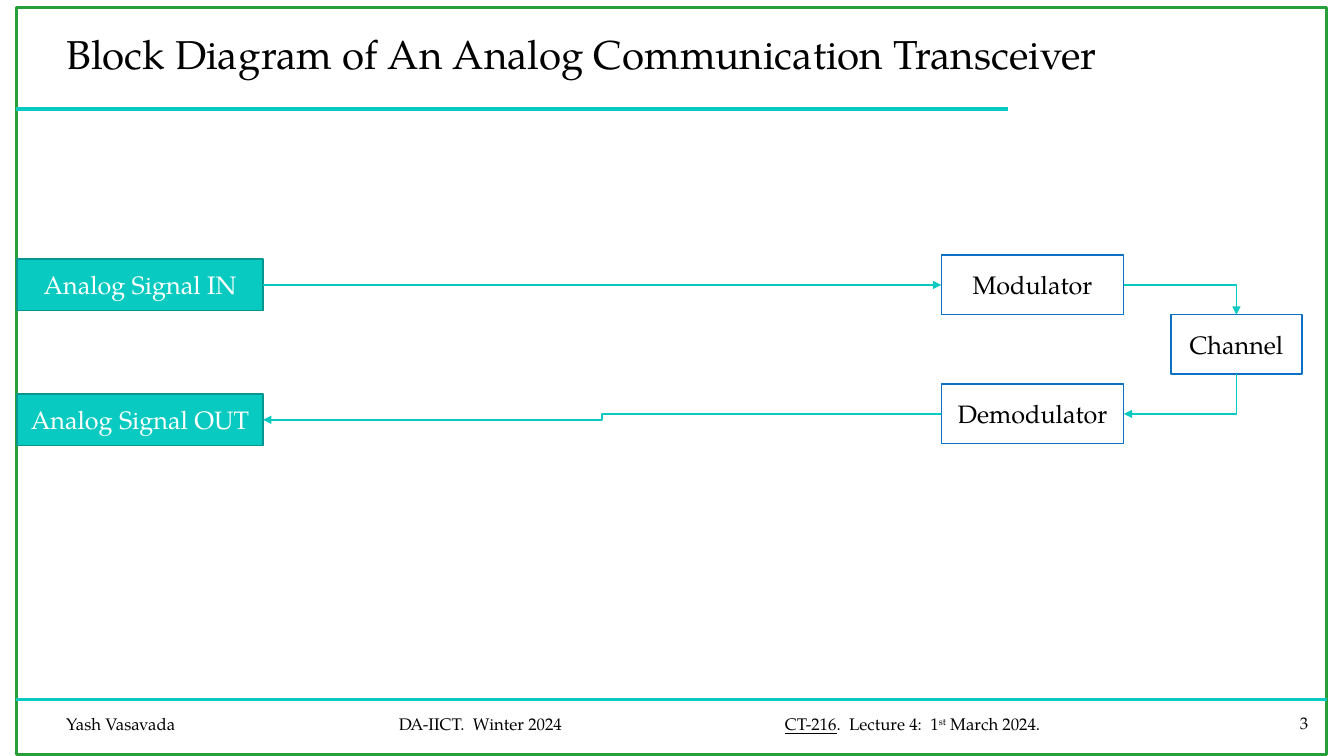
from dataclasses import dataclass

from lxml import etree
from pptx import Presentation
from pptx.dml.color import RGBColor
from pptx.enum.shapes import MSO_CONNECTOR, MSO_SHAPE
from pptx.enum.text import MSO_ANCHOR, MSO_AUTO_SIZE, PP_ALIGN
from pptx.oxml.ns import qn
from pptx.util import Cm, Pt

RECTANGLE = MSO_SHAPE.RECTANGLE
STRAIGHT, ELBOW = MSO_CONNECTOR.STRAIGHT, MSO_CONNECTOR.ELBOW
TOP, MIDDLE = MSO_ANCHOR.TOP, MSO_ANCHOR.MIDDLE
LEFT, CENTER, RIGHT = PP_ALIGN.LEFT, PP_ALIGN.CENTER, PP_ALIGN.RIGHT
LEFT_SITE, BOTTOM_SITE, RIGHT_SITE, TOP_SITE = 1, 2, 3, 0
QUARTER_TURN = "5400000"


@dataclass(frozen=True)
class Theme:
    font: str = "TeX Gyre Pagella"
    black: RGBColor = RGBColor(0, 0, 0)
    white: RGBColor = RGBColor(255, 255, 255)
    teal: RGBColor = RGBColor(0x08, 0xCA, 0xC1)
    dark_teal: RGBColor = RGBColor(0x06, 0x95, 0x8F)
    green: RGBColor = RGBColor(0x25, 0x9F, 0x39)
    blue: RGBColor = RGBColor(0x0E, 0x70, 0xC2)
    title_size: float = 28.8
    block_size: float = 18
    footer_size: float = 12


@dataclass(frozen=True)
class Box:
    left: float
    top: float
    width: float
    height: float

    def inner(self, left, top, width, height):
        return Box(self.left + left, self.top + top, width, height)

    def lengths(self):
        return [Cm(v) for v in (self.left, self.top, self.width, self.height)]


THEME = Theme()


def format_text(shape, size, color, align, anchor):
    frame = shape.text_frame
    frame.word_wrap = True
    frame.vertical_anchor = anchor
    for para in frame.paragraphs:
        para.alignment = align
        for span in para.runs:
            span.font.name = THEME.font
            span.font.size = Pt(size)
            span.font.color.rgb = color


def style_line(connector, color, width):
    connector.line.color.rgb = color
    connector.line.width = Pt(width)
    etree.SubElement(connector._element.spPr, qn("a:effectLst"))


def add_rule(page, left, top, width, weight):
    rule = page.shapes.add_connector(
        STRAIGHT, Cm(left), Cm(top), Cm(left + width), Cm(top))
    style_line(rule, THEME.teal, weight)


def add_frame(page, box):
    frame = page.shapes.add_shape(RECTANGLE, *box.lengths())
    frame.shadow.inherit = False
    frame.fill.background()
    frame.line.color.rgb = THEME.green
    frame.line.width = Pt(2.25)


def add_title(page, box):
    add_rule(page, box.left, box.top + 2.54, 24.99, 3)
    title = page.shapes.title
    title.left, title.top, title.width, title.height = box.inner(1.01, 0.54, 28.02, 2.03).lengths()
    title.text_frame.text = "Block Diagram of An Analog Communication Transceiver"
    title.text_frame.auto_size = MSO_AUTO_SIZE.NONE
    title.text_frame.paragraphs[0].line_spacing = 0.9
    format_text(title, THEME.title_size, THEME.black, LEFT, TOP)


def add_footer(page, box):
    add_rule(page, box.left, box.top, box.width, 2)
    credits = page.shapes.add_textbox(*box.inner(1.01, 0.23, 27, 0.76).lengths())
    para = credits.text_frame.paragraphs[0]
    stops = etree.SubElement(para._p.get_or_add_pPr(), qn("a:tabLst"))
    for position in (8.38, 18.11):
        etree.SubElement(stops, qn("a:tab"), pos=str(Cm(position)), algn="l")
    texts = ("Yash Vasavada\tDA-IICT.  Winter 2024\t", "CT-216",
             ".  Lecture 4:  1", "st", " March 2024.")
    for text in texts:
        para.add_run().text = text
    format_text(credits, THEME.footer_size, THEME.black, LEFT, TOP)
    para.runs[1].font.underline = True
    para.runs[3].font._element.set("baseline", "30000")

    number = page.shapes.add_textbox(*box.inner(30.07, 0.2, 2.74, 0.76).lengths())
    number.text_frame.text = "3"
    format_text(number, THEME.footer_size, THEME.black, RIGHT, MIDDLE)


def add_block(page, box, text, fill, outline, color):
    block = page.shapes.add_shape(RECTANGLE, *box.lengths())
    block.shadow.inherit = False
    block.fill.solid()
    block.fill.fore_color.rgb = fill
    block.line.color.rgb = outline
    block.line.width = Pt(1)
    block.text_frame.text = text
    block.text_frame.margin_left = block.text_frame.margin_right = Cm(0.1)
    format_text(block, THEME.block_size, color, CENTER, MIDDLE)
    return block


def add_arrow(page, source, source_site, target, target_site):
    arrow = page.shapes.add_connector(ELBOW, 0, 0, 0, 0)
    arrow.begin_connect(source, source_site)
    arrow.end_connect(target, target_site)
    style_line(arrow, THEME.teal, 1)
    etree.SubElement(arrow.line._get_or_add_ln(), qn("a:tailEnd"), type="triangle")
    return arrow


def make_single_bend(arrow):
    arrow._element.spPr.find(qn("a:prstGeom")).set("prst", "bentConnector2")


def turn_down_then_left(arrow):
    left, top, width, height = arrow.left, arrow.top, arrow.width, arrow.height
    arrow.left = left + (width - height) // 2
    arrow.top = top + (height - width) // 2
    arrow.width, arrow.height = height, width
    placement = arrow._element.spPr.find(qn("a:xfrm"))
    placement.set("flipH", "0")
    placement.set("flipV", "0")
    placement.set("rot", QUARTER_TURN)


def add_diagram(page, box):
    signals = [
        add_block(page, box.inner(0, top, 6.2, 1.3), text,
                  THEME.teal, THEME.dark_teal, THEME.white)
        for top, text in ((0.1, "Analog Signal IN"), (3.5, "Analog Signal OUT"))]
    stages = [
        add_block(page, box.inner(left, top, width, 1.5), text,
                  THEME.white, THEME.blue, THEME.black)
        for left, top, width, text in (
            (23.29, 0, 4.6, "Modulator"),
            (23.29, 3.25, 4.6, "Demodulator"),
            (29.08, 1.5, 3.3, "Channel"))]
    signal_in, signal_out = signals
    modulator, demodulator, channel = stages

    add_arrow(page, signal_in, RIGHT_SITE, modulator, LEFT_SITE)
    make_single_bend(add_arrow(page, modulator, RIGHT_SITE, channel, TOP_SITE))
    returning = add_arrow(page, channel, BOTTOM_SITE, demodulator, RIGHT_SITE)
    make_single_bend(returning)
    turn_down_then_left(returning)
    add_arrow(page, demodulator, LEFT_SITE, signal_out, RIGHT_SITE)


def main():
    deck = Presentation()
    deck.slide_width, deck.slide_height = Cm(33.87), Cm(19.05)
    page = deck.slides.add_slide(deck.slide_layouts[5])
    frame = Box(0.41, 0.2, 33.02, 18.82)
    add_frame(page, frame)
    add_title(page, frame)
    add_footer(page, frame.inner(0, 17.43, 33.02, 1.39))
    add_diagram(page, frame.inner(0.02, 6.23, 32.38, 4.8))
    deck.save("out.pptx")


if __name__ == "__main__":
    main()
